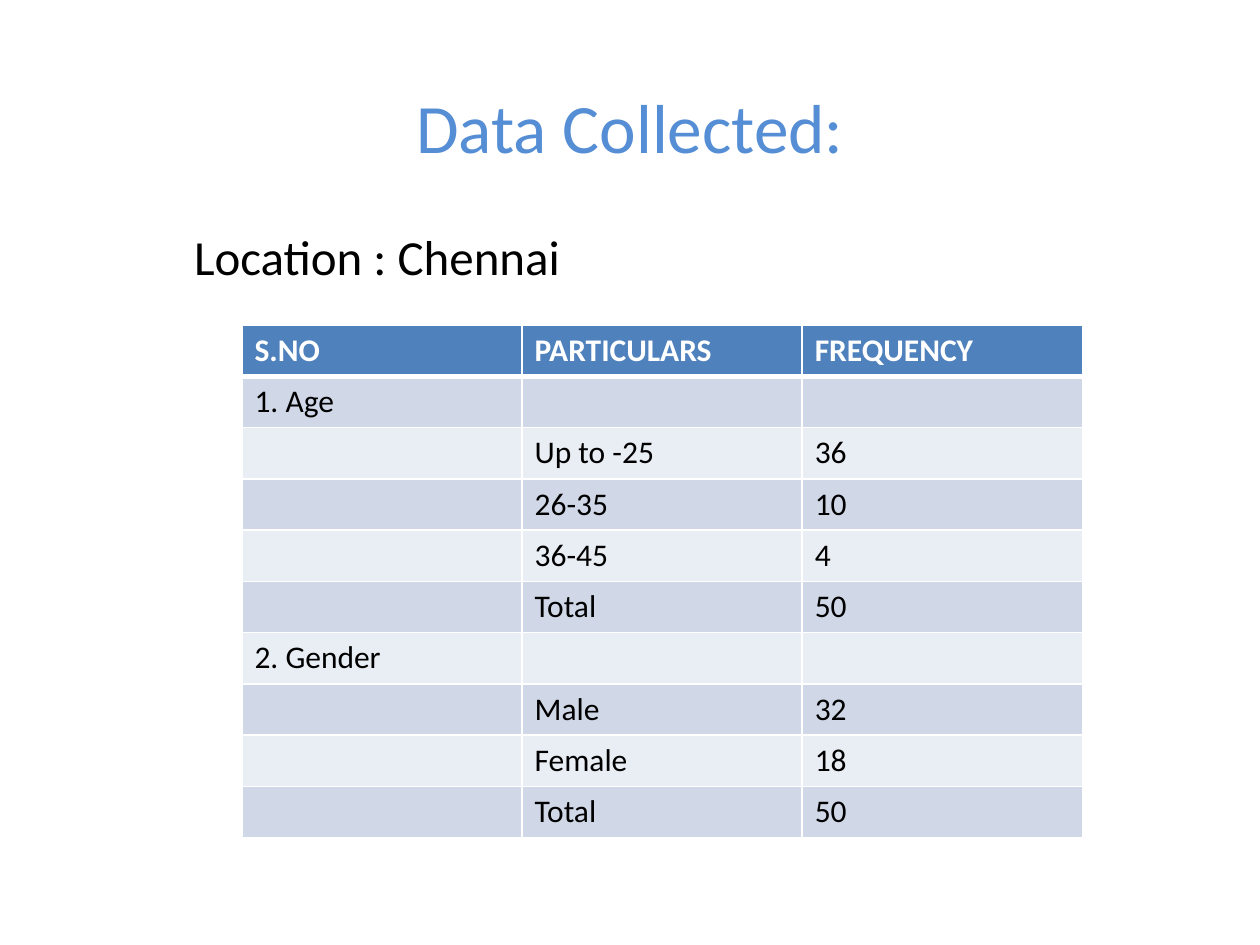
from lxml import etree
from pptx import Presentation
from pptx.dml.color import RGBColor
from pptx.enum.text import MSO_ANCHOR, PP_ALIGN
from pptx.oxml.ns import qn
from pptx.util import Inches, Pt

CENTER, LEFT = PP_ALIGN.CENTER, PP_ALIGN.LEFT
MIDDLE, TOP = MSO_ANCHOR.MIDDLE, MSO_ANCHOR.TOP

WHITE = RGBColor(0xFF, 0xFF, 0xFF)
BLACK = RGBColor(0x00, 0x00, 0x00)
TITLE_BLUE = RGBColor(0x55, 0x8E, 0xD5)
HEADER_BLUE = RGBColor(0x4F, 0x81, 0xBD)
BAND_DARK = RGBColor(0xD0, 0xD8, 0xE8)
BAND_LIGHT = RGBColor(0xE9, 0xED, 0xF4)

FONT = "Calibri"
ROWS = [
    ("S.NO", "PARTICULARS", "FREQUENCY"),
    ("1. Age", "", ""),
    ("", "Up to -25", "36"),
    ("", "26-35", "10"),
    ("", "36-45", "4"),
    ("", "Total", "50"),
    ("2. Gender", "", ""),
    ("", "Male", "32"),
    ("", "Female", "18"),
    ("", "Total", "50"),
]


def write_text(tf, text, size=18, color=BLACK, bold=False, align=LEFT):
    p = tf.paragraphs[0]
    p.alignment = align
    p.font.size = Pt(size)
    if text:
        r = p.add_run()
        r.text = text
        r.font.name = FONT
        r.font.size = Pt(size)
        r.font.bold = bold
        r.font.color.rgb = color


def add_text_box(s, box, text, anchor=TOP, left=0.1, bottom=0.05, **style):
    sp = s.shapes.add_textbox(*map(Inches, box))
    tf = sp.text_frame
    tf.word_wrap = True
    tf.vertical_anchor = anchor
    tf.margin_left = Inches(left)
    tf.margin_bottom = Inches(bottom)
    write_text(tf, text, **style)


def add_title(s, box):
    add_text_box(s, box, "Data Collected:", anchor=MIDDLE, bottom=0.46,
                 size=39.6, color=TITLE_BLUE, align=CENTER)


def add_location(s, box):
    add_text_box(s, box, "Location : Chennai", left=1.04, size=28)


def set_borders(cell, widths):
    tc_pr = cell._tc.get_or_add_tcPr()
    for tag, width in widths.items():
        ln = etree.SubElement(tc_pr, qn(f"a:{tag}"), w=str(Pt(width)))
        fill = etree.SubElement(ln, qn("a:solidFill"))
        etree.SubElement(fill, qn("a:srgbClr"), val=str(WHITE))


def add_frequency_table(s, box):
    shape = s.shapes.add_table(len(ROWS), len(ROWS[0]), *map(Inches, box))
    table = shape.table
    for i, row in enumerate(ROWS):
        header = i == 0
        fill = HEADER_BLUE if header else (BAND_LIGHT, BAND_DARK)[i % 2]
        for j, text in enumerate(row):
            cell = table.cell(i, j)
            write_text(cell.text_frame, text, bold=header,
                       color=WHITE if header else BLACK)
            set_borders(cell, {"lnL": 1, "lnR": 1,
                               "lnT": 3 if i == 1 else 1,
                               "lnB": 3 if header else 1})
            cell.fill.solid()
            cell.fill.fore_color.rgb = fill


def main():
    prs = Presentation()
    prs.slide_width = Inches(10)
    prs.slide_height = Inches(7.5)
    s = prs.slides.add_slide(prs.slide_layouts[6])
    add_title(s, (0.5, 0.58, 9, 1.25))
    add_location(s, (0.5, 1.75, 9, 4.95))
    add_frequency_table(s, (1.92, 2.58, 6.67, 4.07))
    prs.save("out.pptx")


if __name__ == "__main__":
    main()
